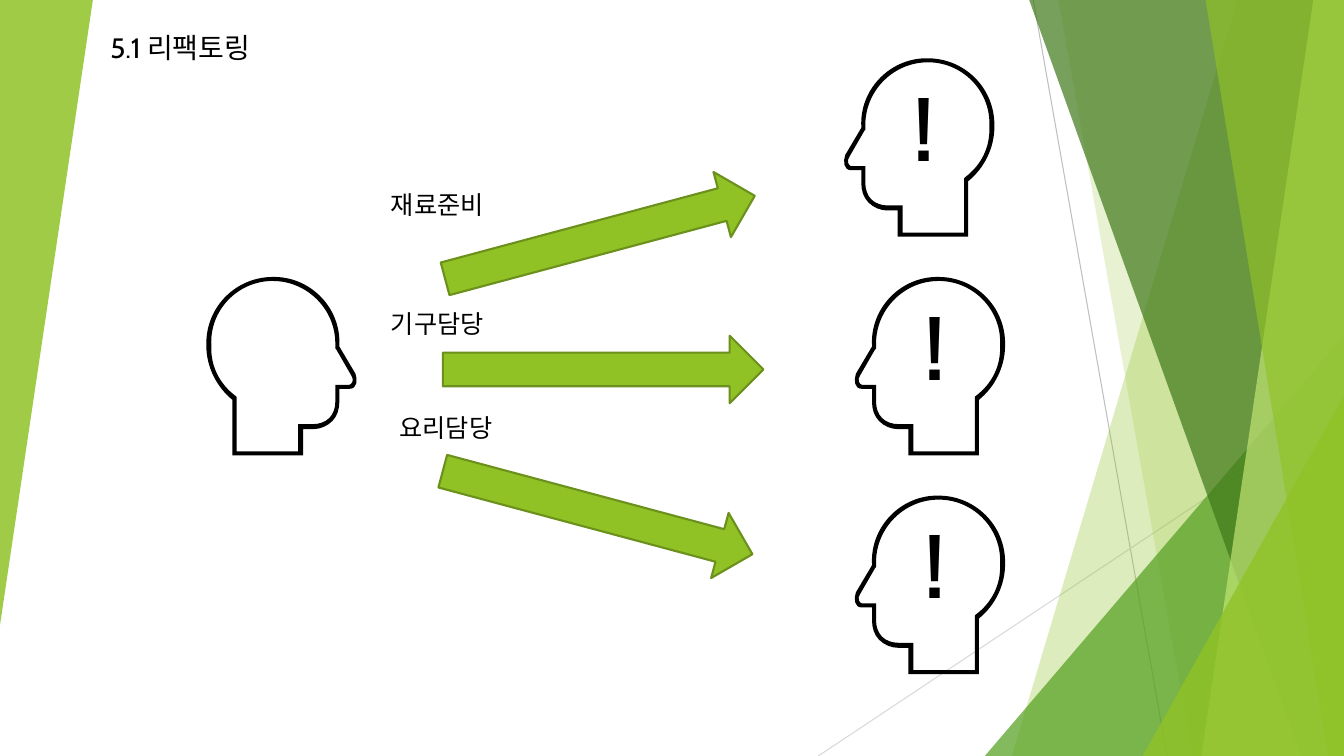
"""Builds the slide on refactoring, in which one head hands work to three others."""
from pptx import Presentation
from pptx import util as u
from pptx.dml.color import RGBColor
from pptx.enum import shapes, text
from pptx.oxml.ns import qn
from lxml import etree

FONT = "Cabin"
BLACK = RGBColor(0x00, 0x00, 0x00)
GREEN = RGBColor(0x90, 0xC2, 0x26)
ARROW_EDGE = RGBColor(0x6B, 0x90, 0x1C)
MID_GREEN = RGBColor(0x54, 0xA0, 0x21)
DARK_GREEN = RGBColor(0x3F, 0x78, 0x19)
PALE_GREEN = RGBColor(0xC0, 0xE4, 0x74)
GREY = RGBColor(0xBF, 0xBF, 0xBF)
LIGHT_GREY = RGBColor(0xD9, 0xD9, 0xD9)

WIDTH, HEIGHT = 33.87, 19.05
RAYS = [(26.04, 0, 29.41, HEIGHT, GREY), (WIDTH, 10.24, 20.62, HEIGHT, LIGHT_GREY)]
# kind, top x and bottom x of a band or left and top of a peak, colour, opacity
FACETS = [
    ("band", 31.19, 25.5, GREEN, 30),
    ("band", 26.67, 30.05, GREEN, 20),
    ("peak", 24.82, 8.46, MID_GREEN, 72),
    ("band", 25.93, 32.79, DARK_GREEN, 70),
    ("band", 33.1, 30.28, PALE_GREEN, 70),
    ("band", 30.38, 33.48, GREEN, 65),
    ("peak", 28.8, 9.98, GREEN, 80),
]
TITLE = ("5.1 리팩토링", 2.53, 0.64, 4.6, 1.12, 20)
LABELS = [("재료준비", 9.6, 4.65), ("기구담당", 9.6, 7.65), ("요리담당", 9.82, 10.26)]
ARROWS = [(11.16, 8.46, 0), (11.02, 12.07, 15), (11.08, 5.13, 345)]
ASKING_HEAD = (5.2, 6.98)
WORKING_HEADS = [(21.25, 1.47), (21.52, 6.98), (21.52, 12.49)]

HEAD_UNIT = u.Cm(0.0254)
HEAD_WIDTH = 150
# Pairs are corners, sextets are Bezier curves
HEAD_INNER = [
    (84, 4), (50, 4, 22, 32, 22, 66), (22, 66, 22, 67, 22, 68), (22, 71), (21, 72),
    (6, 98), (5, 100, 4, 102, 5, 104), (6, 106, 7, 107, 8, 107), (22, 107), (22, 124),
    (22, 130, 24, 136, 28, 140), (32, 144, 38, 146, 44, 146), (59, 146), (59, 173),
    (120, 173), (120, 119), (121, 118), (137, 106, 146, 88, 145, 68),
    (147, 34, 120, 5, 86, 4), (86, 4, 85, 4, 84, 4),
]
HEAD_OUTER = [
    (84, 0), (120, 0, 150, 29, 150, 66), (150, 67, 150, 67, 150, 68),
    (150, 89, 140, 109, 124, 122), (124, 177), (54, 177), (54, 151), (44, 151),
    (37, 151, 30, 148, 25, 143), (20, 138, 18, 131, 18, 124), (18, 111), (8, 111),
    (0, 111, 0, 102, 2, 96), (18, 69), (18, 68), (16, 32, 45, 1, 81, 0),
    (82, 0, 83, 0, 84, 0),
]


def paint(shape, colour, opacity=100):
    shape.shadow.inherit = False
    shape.fill.solid()
    shape.fill.fore_color.rgb = colour
    shape.line.fill.background()
    if opacity < 100:
        tint = shape.fill._xPr.find(qn("a:solidFill"))[0]
        etree.SubElement(tint, qn("a:alpha"), val=str(opacity * 1000))


def add_ray(slide, x1, y1, x2, y2, colour):
    ray = slide.shapes.add_connector(
        shapes.MSO_CONNECTOR.STRAIGHT, *map(u.Cm, (x1, y1, x2, y2)))
    ray.line.color.rgb = colour
    ray.line.width = u.Pt(0.75)
    etree.SubElement(ray._element.spPr, qn("a:effectLst"))


def add_preset(slide, preset, left, top, width, height):
    return slide.shapes.add_shape(preset, *map(u.Cm, (left, top, width, height)))


def add_peak(slide, left, top, width, height):
    peak = add_preset(slide, shapes.MSO_SHAPE.ISOSCELES_TRIANGLE, left, top, width, height)
    peak.adjustments[0] = 1
    return peak


def add_band(slide, top_x, bottom_x):
    builder = slide.shapes.build_freeform(u.Cm(top_x), u.Cm(-0.02))
    corners = [(WIDTH, -0.02), (WIDTH, HEIGHT), (bottom_x, HEIGHT)]
    builder.add_line_segments([(u.Cm(x), u.Cm(y)) for x, y in corners])
    return builder.convert_to_shape()


def head_points(outline, mirrored):
    return [((HEAD_WIDTH - x if mirrored else x) * HEAD_UNIT, y * HEAD_UNIT)
            for step in outline for x, y in zip(step[::2], step[1::2])]


def bend_curves(shape, steps):
    contour = next(shape._element.spPr.iter(qn("a:path")))
    lines = iter(contour.findall(qn("a:lnTo")))
    for step in steps:
        controls = [next(lines) for _ in step[::2]]
        if len(controls) == 3:
            curve = etree.Element(qn("a:cubicBezTo"))
            controls[0].addprevious(curve)
            for line in controls:
                curve.append(line[0])
                contour.remove(line)


def add_head(slide, left, top, mirrored=False):
    inner, outer = (head_points(outline, mirrored) for outline in (HEAD_INNER, HEAD_OUTER))
    builder = slide.shapes.build_freeform(*inner[0])
    builder.add_line_segments(inner[1:], close=False)
    builder.move_to(*outer[0])
    builder.add_line_segments(outer[1:])
    head = builder.convert_to_shape(u.Cm(left), u.Cm(top))
    bend_curves(head, HEAD_INNER[1:] + HEAD_OUTER[1:])
    paint(head, BLACK)


def add_text(slide, words, left, top, width, height, size, bold=False):
    box = slide.shapes.add_textbox(*map(u.Cm, (left, top, width, height)))
    box.text_frame.word_wrap = False
    box.text_frame.auto_size = text.MSO_AUTO_SIZE.SHAPE_TO_FIT_TEXT
    paragraph = box.text_frame.paragraphs[0]
    paragraph.text = words
    paragraph.font.name = FONT
    paragraph.font.size = u.Pt(size)
    paragraph.font.bold = bold
    paragraph.font.color.rgb = BLACK


def main():
    presentation = Presentation()
    presentation.slide_width, presentation.slide_height = u.Cm(WIDTH), u.Cm(HEIGHT)
    slide = presentation.slides.add_slide(presentation.slide_layouts[6])

    for ray in RAYS:
        add_ray(slide, *ray)
    for kind, first, second, colour, opacity in FACETS:
        if kind == "band":
            facet = add_band(slide, first, second)
        else:
            facet = add_peak(slide, first, second, WIDTH - first, HEIGHT - second)
        paint(facet, colour, opacity)
    left_facet = add_peak(slide, 0, 0, 2.34, 15.75)
    left_facet.rotation = 180
    paint(left_facet, GREEN, 85)

    add_text(slide, *TITLE)
    add_head(slide, *ASKING_HEAD, mirrored=True)
    for left, top in WORKING_HEADS:
        add_head(slide, left, top)
        add_text(slide, "!", left + 1.53, top + 0.36, 1.3, 2.82, 60, bold=True)
    for left, top, angle in ARROWS:
        arrow = add_preset(slide, shapes.MSO_SHAPE.RIGHT_ARROW, left, top, 8.08, 1.7)
        arrow.rotation = angle
        paint(arrow, GREEN)
        arrow.line.color.rgb = ARROW_EDGE
        arrow.line.width = u.Pt(1.5)
    for words, left, top in LABELS:
        add_text(slide, words, left, top, 3.07, 1.02, 18)

    presentation.save("out.pptx")


if __name__ == "__main__":
    main()
